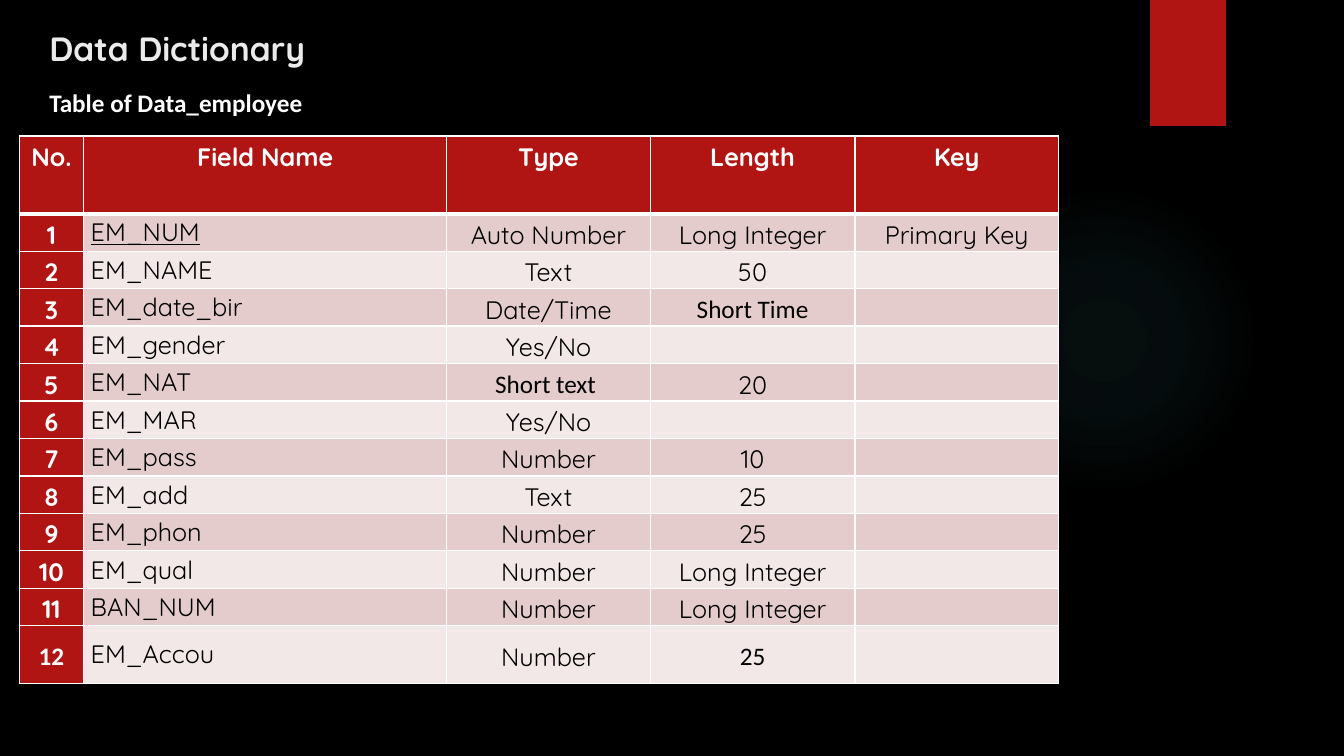
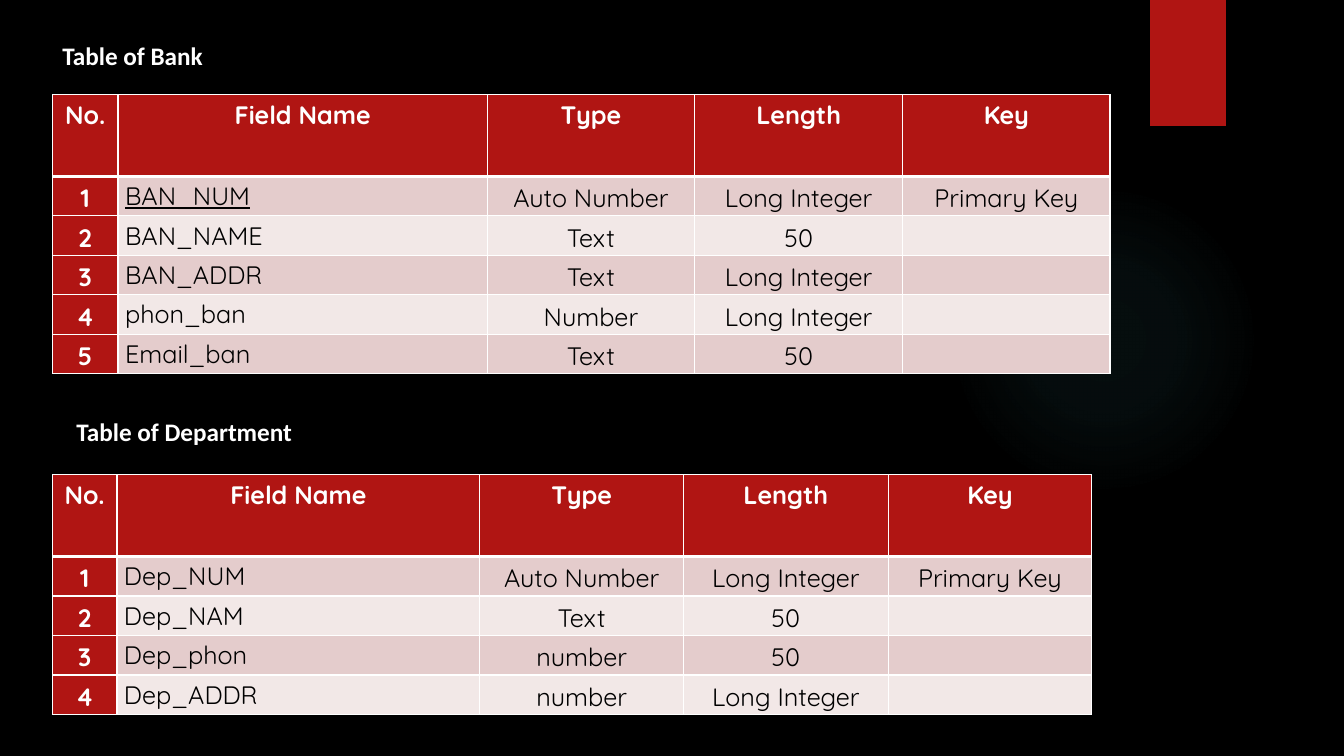
from pptx import Presentation, util as u
from pptx.dml.color import RGBColor
from pptx.enum import shapes, text
from pptx.oxml import parse_xml
from pptx.oxml.ns import nsdecls

PAGE_W, PAGE_H = u.Inches(13.333), u.Inches(7.5)
BLACK, WHITE, RED, TITLE_GREY, GLOW = "000000", "FFFFFF", "B01513", "EBEBEB", "50B9C1"
STRIPES = ("E4CCCC", "F2E8E7")
DISPLAY, PLAIN = "Quicksand", "Calibri"
HEADINGS = ("No.", "Field Name", "Type", "Length", "Key")
COLUMN_WEIGHTS = (0.64, 3.6, 2.02, 2.03, 2.02)

EMPLOYEE = [
    ("EM_NUM", "Auto Number", "Long Integer", "Primary Key"),
    ("EM_NAME", "Text", "50", ""),
    ("EM_date_bir", "Date/Time", "Short Time", ""),
    ("EM_gender", "Yes/No", "", ""),
    ("EM_NAT", "Short text ", "20", ""),
    ("EM_MAR", "Yes/No", "", ""),
    ("EM_pass", "Number", "10", ""),
    ("EM_add", "Text", "25", ""),
    ("EM_phon", "Number", "25", ""),
    ("EM_qual", "Number", "Long Integer", ""),
    ("BAN_NUM", "Number", "Long Integer", ""),
    ("EM_Accou", "Number", "25", ""),
]
BANK = [
    ("BAN_NUM", "Auto Number", "Long Integer", "Primary Key"),
    ("BAN_NAME", "Text", "50", ""),
    ("BAN_ADDR", "Text", "Long Integer", ""),
    ("phon_ban", "Number", "Long Integer", ""),
    ("Email_ban", "Text", "50", ""),
]
DEPARTMENT = [
    ("Dep_NUM", "Auto Number", "Long Integer", "Primary Key"),
    ("Dep_NAM", "Text", "50", ""),
    ("Dep_phon", "number", "50", ""),
    ("Dep_ADDR", "number", "Long Integer", ""),
]


def color(value):
    """Turn a hex string into a colour."""
    return RGBColor.from_string(value)


def place(left, top, width, height):
    """Turn percentages of the slide into lengths."""
    return [u.Emu(round(share * side / 100)) for share, side in
            zip((left, top, width, height), (PAGE_W, PAGE_H) * 2)]


def write(frame, words, size=18, font=DISPLAY, ink=BLACK, bold=False,
          underline=False, align=text.PP_ALIGN.LEFT, spacing=None):
    """Write one formatted paragraph into a text frame."""
    line = frame.paragraphs[0]
    line.alignment = align
    line.line_spacing = spacing
    run = line.add_run()
    run.text = words
    run.font.size, run.font.name = u.Pt(size), font
    run.font.bold, run.font.underline = bold, underline
    run.font.color.rgb = color(ink)


def label(slide, box, words, **style):
    """Add a single-line bold label."""
    frame = slide.shapes.add_textbox(*place(*box)).text_frame
    frame.word_wrap = False
    write(frame, words, bold=True, **style)


def caption(slide, box, words):
    """Add the heading of a table."""
    label(slide, box, words, font=PLAIN, ink=WHITE)


def block(slide, kind, box):
    """Add a red shape without outline or shadow."""
    shape = slide.shapes.add_shape(kind, *place(*box))
    shape.shadow.inherit = False
    shape.line.fill.background()
    shape.fill.solid()
    shape.fill.fore_color.rgb = color(RED)
    return shape


def backdrop(slide):
    """Paint the background, soft glow and red ribbon."""
    slide.background.fill.solid()
    slide.background.fill.fore_color.rgb = color(BLACK)
    glow = block(slide, shapes.MSO_SHAPE.OVAL, (70.58, 24.4, 23.1, 41.07))
    stops = "".join(
        f'<a:gs pos="{spot}000"><a:srgbClr val="{GLOW}"><a:alpha val="{alpha}000"/>'
        "</a:srgbClr></a:gs>" for spot, alpha in ((0, 7), (36, 6), (69, 0)))
    gradient = parse_xml(
        f'<a:gradFill {nsdecls("a")}><a:gsLst>{stops}</a:gsLst><a:path path="circle">'
        '<a:fillToRect l="50000" t="50000" r="50000" b="50000"/></a:path></a:gradFill>')
    props = glow.element.spPr
    props.replace(props.find("{*}solidFill"), gradient)
    block(slide, shapes.MSO_SHAPE.RECTANGLE, (85.58, 0, 5.63, 16.67))


def style_cell(cell, fill, top=1, bottom=1):
    """Give a cell its margins, white borders and fill."""
    cell.margin_left = cell.margin_right = u.Inches(0.07)
    cell.margin_top = cell.margin_bottom = 0
    props = cell._tc.get_or_add_tcPr()
    for side, points in zip("LRTB", (1, 1, top, bottom)):
        props.append(parse_xml(
            f'<a:ln{side} {nsdecls("a")} w="{u.Pt(points)}"><a:solidFill>'
            f'<a:srgbClr val="{WHITE}"/></a:solidFill></a:ln{side}>'))
    cell.fill.solid()
    cell.fill.fore_color.rgb = color(fill)


def dictionary(slide, box, fields, head, last=None, key=None, plain=()):
    """Add a field table; key is the underlined field, plain the cells in the plain font."""
    rows = [HEADINGS] + [(str(n), *field) for n, field in enumerate(fields, 1)]
    left, top, width, height = place(*box)
    table = slide.shapes.add_table(len(rows), len(HEADINGS), left, top, width, height).table
    for column, weight in zip(table.columns, COLUMN_WEIGHTS):
        column.width = round(width * weight / sum(COLUMN_WEIGHTS))
    body = (box[3] - head - (last or 0)) / (len(fields) - bool(last))
    shares = [head] + [body] * len(fields)
    shares[-1] = last or body
    for r, (row, share) in enumerate(zip(rows, shares)):
        table.rows[r].height = round(PAGE_H * share / 100)
        for c, words in enumerate(row):
            cell = table.cell(r, c)
            strong = r == 0 or c == 0
            style_cell(cell, RED if strong else STRIPES[(r - 1) % 2],
                       top=3 if r == 1 else 1, bottom=3 if r == 0 else 1)
            if r:
                cell.vertical_anchor = text.MSO_ANCHOR.MIDDLE
            name = r > 0 and c == 1
            if words:
                write(cell.text_frame, words, bold=strong, ink=WHITE if strong else BLACK,
                      font=PLAIN if (r, c) in plain else DISPLAY,
                      underline=name and r == key, spacing=None if name else 1.15,
                      align=text.PP_ALIGN.LEFT if name else text.PP_ALIGN.CENTER)


def employee_slide(slide):
    """Build the titled slide with the employee table."""
    backdrop(slide)
    dictionary(slide, (1.43, 18, 77.34, 72.4), EMPLOYEE, head=10.27, last=7.6, key=1,
               plain={(3, 3), (5, 2), (12, 0), (12, 3)})
    label(slide, (2.93, 3.07, 21.98, 7.33), "Data Dictionary", size=24, ink=TITLE_GREY)
    caption(slide, (2.93, 10.93, 20.48, 5.33), "Table of Data_employee")


def bank_department_slide(slide):
    """Build the slide with the bank and department tables."""
    backdrop(slide)
    caption(slide, (3.9, 4.67, 12.08, 5.33), "Table of Bank")
    dictionary(slide, (3.9, 12.53, 78.69, 36.93), BANK, head=10.8, key=1)
    caption(slide, (4.95, 54.4, 17.7, 5.33), "Table of Department")
    dictionary(slide, (3.9, 62.8, 77.34, 31.73), DEPARTMENT, head=10.8)


def main():
    """Build and save the presentation."""
    deck = Presentation()
    deck.slide_width, deck.slide_height = PAGE_W, PAGE_H
    for build in (employee_slide, bank_department_slide):
        build(deck.slides.add_slide(deck.slide_layouts[6]))
    deck.save("out.pptx")


if __name__ == "__main__":
    main()
